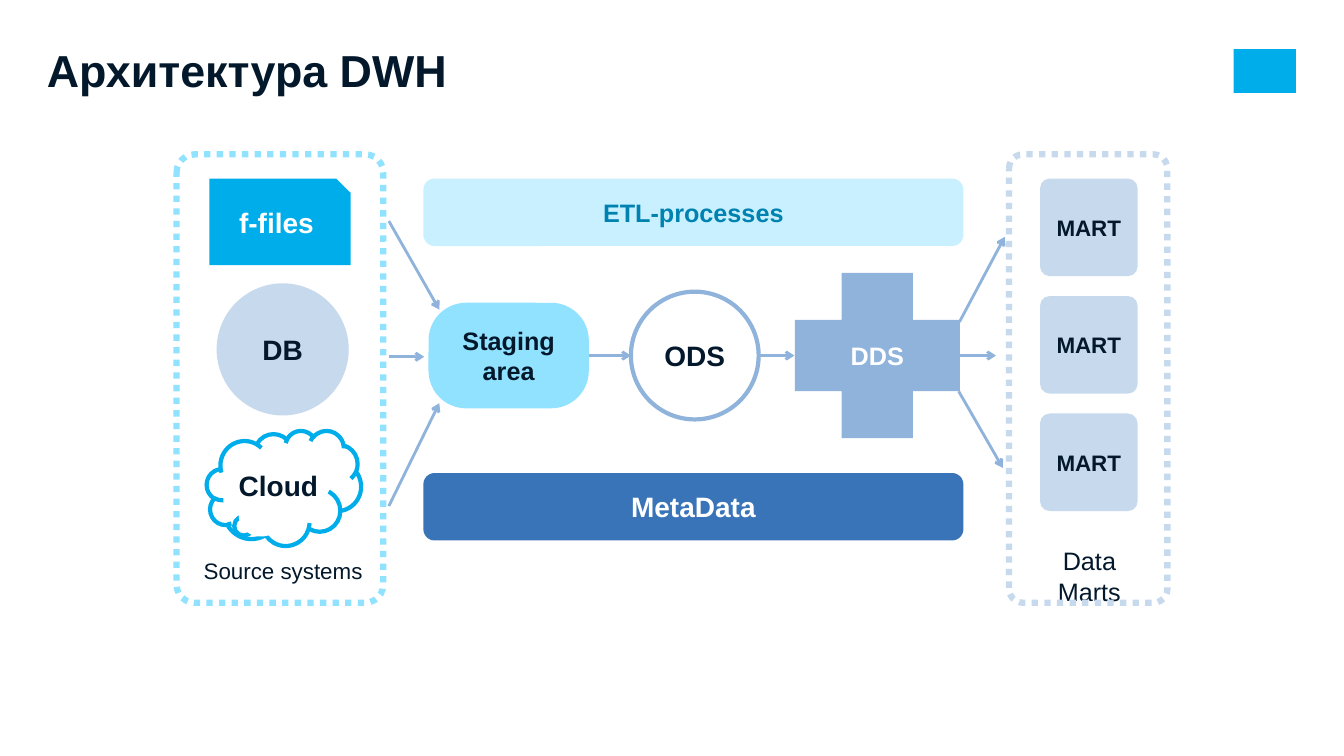
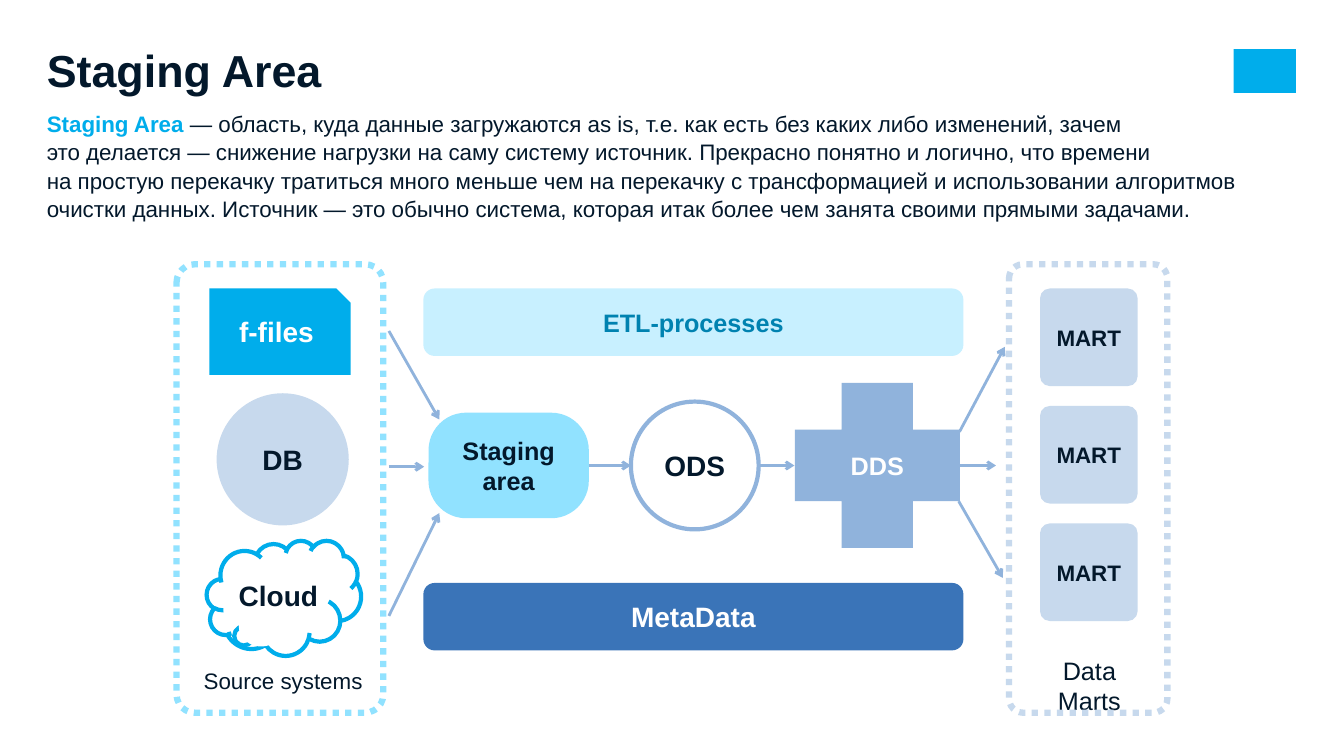
from dataclasses import dataclass

from lxml import etree
from pptx import Presentation
from pptx.dml.color import RGBColor
from pptx.enum.dml import MSO_LINE
from pptx.enum.shapes import MSO_CONNECTOR, MSO_SHAPE
from pptx.enum.text import MSO_ANCHOR, PP_ALIGN
from pptx.oxml.ns import qn
from pptx.util import Cm, Pt

ROUNDED = MSO_SHAPE.ROUNDED_RECTANGLE
OVAL = MSO_SHAPE.OVAL
RECTANGLE = MSO_SHAPE.RECTANGLE
SNIPPED = MSO_SHAPE.SNIP_ROUND_RECTANGLE
CLOUD = MSO_SHAPE.CLOUD_CALLOUT
PLUS = MSO_SHAPE.MATH_PLUS
STRAIGHT = MSO_CONNECTOR.STRAIGHT
DOTTED = MSO_LINE.ROUND_DOT
LEFT, CENTER = PP_ALIGN.LEFT, PP_ALIGN.CENTER
TOP, MIDDLE = MSO_ANCHOR.TOP, MSO_ANCHOR.MIDDLE
RIGHT_SIDE = 3
TITLE_ONLY = 5


@dataclass(frozen=True)
class Theme:
    font: str = "Arial"
    ink: str = "03182B"
    white: str = "FFFFFF"
    accent: str = "00ADEB"
    sky: str = "91E2FF"
    ice: str = "C8F0FF"
    teal: str = "0082B0"
    mist: str = "C7D9ED"
    steel: str = "90B3DC"
    navy: str = "3A74B8"
    title: int = 32
    large: int = 20
    medium: int = 18
    small: int = 16


THEME = Theme()


def set_all(target, values):
    for name, value in values.items():
        setattr(target, name, value)


class Deck:
    """Holds the style and the current page."""

    def __init__(self, theme):
        self.theme = theme
        self.presentation = Presentation()
        self.presentation.slide_width = Cm(33.87)
        self.presentation.slide_height = Cm(19.05)
        self.page = None

    def add_page(self, title):
        layout = self.presentation.slide_layouts[TITLE_ONLY]
        self.page = self.presentation.slides.add_slide(layout)
        box = self.page.shapes.title
        self.place(box, 0.85, 0.74, 23.11, 2.59)
        self.set_text(box, title, self.theme.title, bold=True, align=LEFT, anchor=TOP, inset=0.33)
        self.shape(RECTANGLE, (31.09, 1.24, 1.57, 1.1), fill=self.theme.accent)

    def place(self, box, left, top, width, height):
        set_all(box, {"left": Cm(left), "top": Cm(top), "width": Cm(width), "height": Cm(height)})

    def frame(self, box, anchor, inset, inset_top):
        set_all(box.text_frame, {
            "word_wrap": True, "vertical_anchor": anchor,
            "margin_left": Cm(inset), "margin_right": Cm(inset),
            "margin_top": Cm(inset_top), "margin_bottom": Cm(inset_top),
        })

    def style(self, span, size, color, bold):
        set_all(span.font, {"name": self.theme.font, "size": Pt(size), "bold": bold})
        span.font.color.rgb = RGBColor.from_string(color)

    def set_text(self, box, text, size, color=None, bold=False, align=CENTER,
                 anchor=MIDDLE, inset=0.25, inset_top=None):
        self.frame(box, anchor, inset, inset if inset_top is None else inset_top)
        box.text_frame.text = text
        for para in box.text_frame.paragraphs:
            para.alignment = align
            for span in para.runs:
                self.style(span, size, color or self.theme.ink, bold)

    def shape(self, kind, bounds, fill=None, line=None, weight=3, dash=None, adjust=()):
        box = self.page.shapes.add_shape(kind, *map(Cm, bounds))
        box.shadow.inherit = False
        for index, value in enumerate(adjust):
            box.adjustments[index] = value
        if fill:
            box.fill.solid()
            box.fill.fore_color.rgb = RGBColor.from_string(fill)
        else:
            box.fill.background()
        if line:
            box.line.color.rgb = RGBColor.from_string(line)
            set_all(box.line, {"width": Pt(weight), "dash_style": dash})
        else:
            box.line.fill.background()
        return box

    def node(self, kind, bounds, text, size, color=None, **look):
        box = self.shape(kind, bounds, **look)
        self.set_text(box, text, size, color, bold=True, inset_top=0.13)
        return box

    def label(self, bounds, text, size):
        box = self.page.shapes.add_textbox(*map(Cm, bounds))
        self.set_text(box, text, size, anchor=TOP, inset=0, inset_top=0.13)

    def paragraph(self, bounds, lead, lines):
        box = self.page.shapes.add_textbox(*map(Cm, bounds))
        self.frame(box, TOP, 0.33, 0.33)
        para = box.text_frame.paragraphs[0]
        para.line_spacing = 1.05
        span = para.add_run()
        span.text = lead
        self.style(span, self.theme.small, self.theme.accent, True)
        for index, line in enumerate(lines):
            if index:
                para.add_line_break()
            span = para.add_run()
            span.text = line
            self.style(span, self.theme.small, self.theme.ink, False)

    def arrow(self, start, end, source=None):
        link = self.page.shapes.add_connector(STRAIGHT, *map(Cm, (*start, *end)))
        if source is not None:
            link.begin_connect(source, RIGHT_SIDE)
        link.line.color.rgb = RGBColor.from_string(self.theme.steel)
        link.line.width = Pt(2)
        properties = link._element.spPr
        etree.SubElement(properties.find(qn("a:ln")), qn("a:tailEnd"), type="arrow")
        etree.SubElement(properties, qn("a:effectLst"))


def draw_warehouse(deck, top):
    """Draw the data flow, with its frames starting at the given top."""
    theme = deck.theme
    row = top + 0.61
    middle = top + 5.07

    # Source systems
    deck.node(CLOUD, (5.21, top + 6.96, 3.89, 2.9), "Cloud", theme.large,
              fill=theme.white, line=theme.accent, adjust=(-0.13, 0.165))
    deck.node(SNIPPED, (5.28, row, 3.56, 2.18), "f-files", theme.large, theme.white,
              fill=theme.accent, adjust=(0, 0.167))
    deck.node(OVAL, (5.46, top + 3.25, 3.33, 3.33), "DB", theme.large, fill=theme.mist)
    deck.shape(OVAL, (6.02, top + 8.66, 1.12, 0.97), fill=theme.white)
    deck.label((4.85, top + 10.01, 4.57, 0.94), "Sourсe systems", theme.small)

    # Data marts
    for index in range(3):
        deck.node(ROUNDED, (26.21, row + index * 2.96, 2.46, 2.46), "MART", theme.small,
                  fill=theme.mist, adjust=(0.1,))
    deck.label((25.98, top + 9.73, 2.95, 0.84), "Data Marts", theme.medium)

    # Dotted frames
    for left, width, color in ((4.45, 5.21, theme.sky), (25.43, 3.99, theme.mist)):
        deck.shape(ROUNDED, (left, top, width, 11.3), line=color, weight=4.5,
                   dash=DOTTED, adjust=(0.088,))

    # Bands above and below the flow
    for band_top, text, size, color, fill in (
        (row, "ETL-processes", theme.medium, theme.teal, theme.ice),
        (top + 8.03, "MetaData", theme.large, theme.white, theme.navy),
    ):
        deck.node(ROUNDED, (10.67, band_top, 13.61, 1.7), text, size, color, fill=fill)

    # Storage layers
    staging = deck.node(ROUNDED, (10.8, middle - 1.33, 4.04, 2.66), "Staging\narea",
                        theme.medium, fill=theme.sky, adjust=(0.356,))
    deck.node(OVAL, (15.9, middle - 1.61, 3.22, 3.22), "ODS", theme.large,
              fill=theme.white, line=theme.steel)
    deck.node(PLUS, (19.28, middle - 2.83, 5.66, 5.66), "DDS", theme.medium, theme.white,
              fill=theme.steel, adjust=(0.318,))

    # Arrows, with heights measured from the middle of the flow
    for left, rise, right, target, source in (
        (9.8, 3.79, 11.07, 1.2, None),
        (9.8, 0.03, 10.69, 0.03, None),
        (9.8, -3.39, 11.07, -1.16, None),
        (14.84, 0, 15.9, 0, staging),
        (19.13, 0, 20.02, 0, None),
        (24.18, 0, 25.1, 0, None),
        (24.18, -0.85, 25.32, -2.99, None),
        (24.16, 0.9, 25.27, 2.83, None),
    ):
        deck.arrow((left, middle + rise), (right, middle + target), source)


def main():
    deck = Deck(THEME)

    # Architecture overview
    deck.add_page("Архитектура DWH")
    draw_warehouse(deck, 3.89)

    # Staging area
    deck.add_page("Staging Area")
    deck.paragraph((0.85, 2.42, 30.89, 5), "Staging Area ", (
        "— область, куда данные загружаются as is, т.е. как есть без каких либо изменений, зачем ",
        "это делается — снижение нагрузки на саму систему источник. Прекрасно понятно и логично, "
        "что времени ",
        "на простую перекачку тратиться много меньше чем на перекачку с трансформацией и "
        "использовании алгоритмов очистки данных. Источник — это обычно система, которая итак "
        "более чем занята своими прямыми задачами.",
    ))
    draw_warehouse(deck, 6.66)

    deck.presentation.save("out.pptx")


if __name__ == "__main__":
    main()
